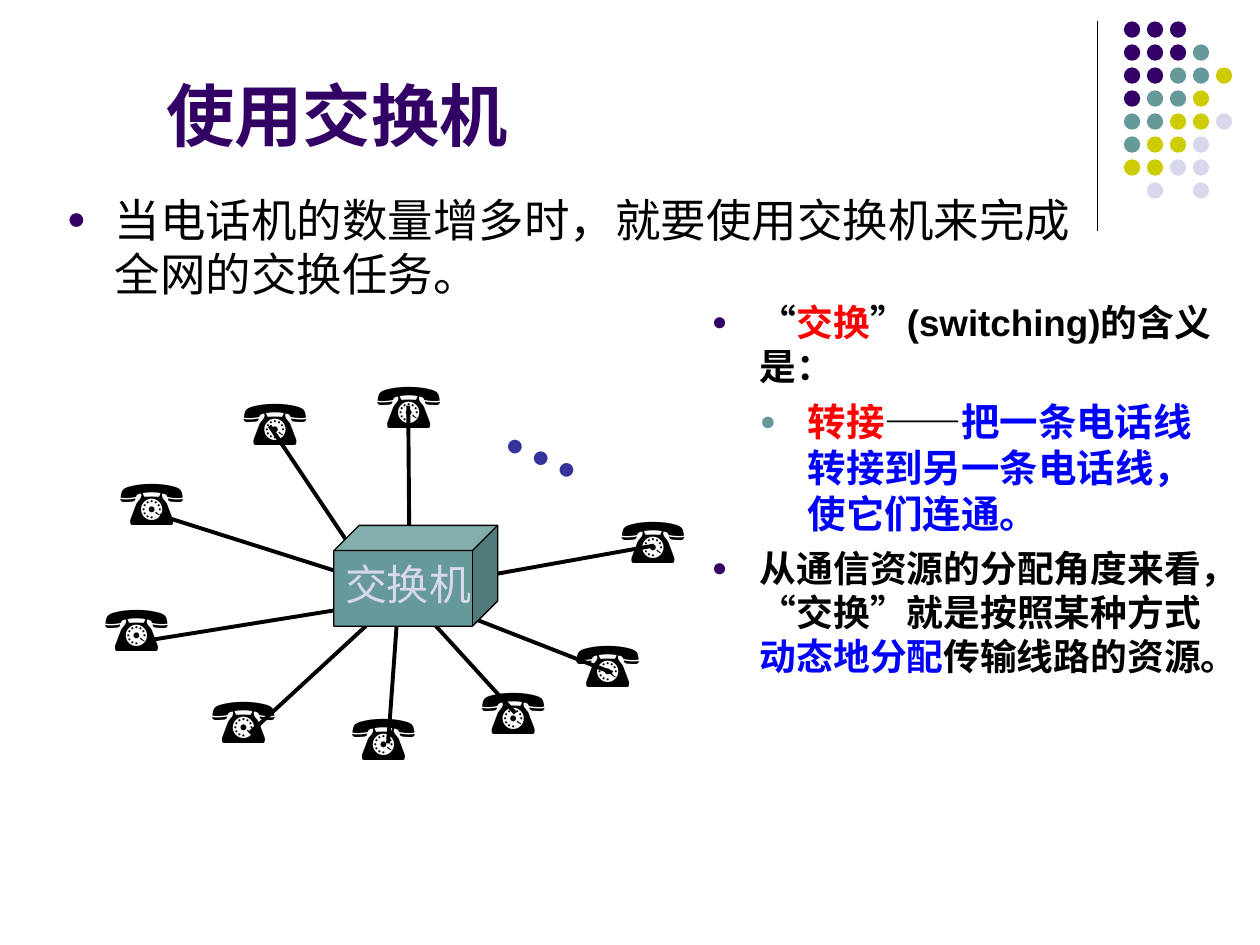
from lxml import etree
from pptx import Presentation
from pptx.dml.color import RGBColor
from pptx.enum.shapes import MSO_CONNECTOR, MSO_SHAPE
from pptx.enum.text import MSO_ANCHOR, MSO_AUTO_SIZE, PP_ALIGN
from pptx.oxml.ns import qn
from pptx.util import Inches, Pt

STRAIGHT = MSO_CONNECTOR.STRAIGHT
OVAL, CUBE = MSO_SHAPE.OVAL, MSO_SHAPE.CUBE
TOP, BOTTOM = MSO_ANCHOR.TOP, MSO_ANCHOR.BOTTOM
LEFT, NO_FIT = PP_ALIGN.LEFT, MSO_AUTO_SIZE.NONE

BLACK = RGBColor(0, 0, 0)
PURPLE = RGBColor(0x33, 0x00, 0x66)
TEAL = RGBColor(0x66, 0x99, 0x99)
OLIVE = RGBColor(0xCC, 0xCC, 0x00)
LAVENDER = RGBColor(0xD8, 0xD8, 0xEC)
INDIGO = RGBColor(0x33, 0x33, 0x99)
RED = RGBColor(0xFF, 0, 0)
BLUE = RGBColor(0, 0, 0xFF)

DOT_ROWS = ["PPP", "PPPT", "PPTTO", "PTTO", "TTOOL", "TOOL", "OOLL", " L L"]
DOT_COLORS = {"P": PURPLE, "T": TEAL, "O": OLIVE, "L": LAVENDER}
DOT_SIZE, DOT_PITCH = 0.13, 0.73 / 4
DOT_LEFT, DOT_TOP = 8.92, 0.17

PHONE_SPOTS = [(2.89, 2.85), (0.85, 3.62), (1.58, 5.35), (4.83, 3.92), (3.72, 5.28),
               (0.73, 4.62), (1.83, 2.99), (2.69, 5.49), (4.47, 4.91)]
WIRES = [(4.86, 5.34, 3.48, 4.8), (3.08, 5.9, 3.16, 4.8), (1.19, 5.08, 2.93, 4.8),
         (2.14, 3.38, 2.81, 4.38), (3.25, 4.49, 3.24, 3.22), (3.63, 4.61, 5.19, 4.33),
         (1.27, 4.09, 2.88, 4.6), (1.98, 5.82, 3, 4.88), (4.09, 5.66, 3.16, 4.64)]
DIVIDER = (8.71, 0.17, 8.71, 1.83)

# Level, text size, space before, bullet colour, bold, spans of text and colour
INTRO = [(0, 26, 6.5, PURPLE, False,
          [("当电话机的数量增多时，就要使用交换机来完成全网的交换任务。", BLACK)])]
MEANING = [
    (0, 21, 5.2, PURPLE, True,
     [("“", BLACK), ("交换", RED), ("”(switching)的含义是：", BLACK)]),
    (1, 22, 5.5, TEAL, True,
     [("转接", RED), ("——", BLACK),
      ("把一条电话线转接到另一条电话线，使它们连通。", BLUE)]),
    (0, 21, 5.2, PURPLE, True,
     [("从通信资源的分配角度来看，“交换”就是按照某种方式", BLACK),
      ("动态地分配", BLUE), ("传输线路的资源。", BLACK)]),
]


def add_span(para, text, color, size, font="Arial", bold=False):
    """Append a formatted run of text to a paragraph."""
    span = para.add_run()
    span.text = text
    for name, value in {"name": font, "size": Pt(size), "bold": bold}.items():
        setattr(span.font, name, value)
    span.font.color.rgb = color


def place(box, left, top, width, height):
    """Move and size a box, in inches."""
    spot = {"left": left, "top": top, "width": width, "height": height}
    for name, value in spot.items():
        setattr(box, name, Inches(value))


deck = Presentation()
deck.slide_width, deck.slide_height = Inches(10), Inches(7.5)
page = deck.slides.add_slide(deck.slide_layouts[3])
title, intro, meaning = page.placeholders

# Title
place(title, 1.22, 0.21, 8.52, 1.07)
title.text_frame.vertical_anchor = BOTTOM
title.text_frame.auto_size = NO_FIT
title_para = title.text_frame.paragraphs[0]
title_para.alignment = LEFT
add_span(title_para, "使用交换机", PURPLE, 39, bold=True)

# Bulleted lists
place(intro, 0.43, 1.47, 8.5, 4.5)
place(meaning, 5.55, 2.33, 4.17, 4.5)
for box, items in ((intro, INTRO), (meaning, MEANING)):
    frame = box.text_frame
    frame.auto_size = NO_FIT
    frame.vertical_anchor = TOP
    for number, (level, size, gap, bullet_color, bold, spans) in enumerate(items):
        para = frame.add_paragraph() if number else frame.paragraphs[0]
        para.level = level
        para.space_before = Pt(gap)
        props = para._p.get_or_add_pPr()
        props.set("marL", str(Inches(0.38 * (level + 1))))
        props.set("indent", str(Inches(-0.38)))
        bullet = etree.SubElement(props, qn("a:buClr"))
        etree.SubElement(bullet, qn("a:srgbClr"), val=str(bullet_color))
        etree.SubElement(props, qn("a:buSzPct"), val="70000")
        etree.SubElement(props, qn("a:buFont"), typeface="Arial")
        etree.SubElement(props, qn("a:buChar"), char="●")
        for text, color in spans:
            add_span(para, text, color, size, bold=bold)

# Corner dots
for row, marks in enumerate(DOT_ROWS):
    for column, mark in enumerate(marks):
        if mark in DOT_COLORS:
            dot = page.shapes.add_shape(
                OVAL, Inches(DOT_LEFT + column * DOT_PITCH),
                Inches(DOT_TOP + row * DOT_PITCH), Inches(DOT_SIZE), Inches(DOT_SIZE))
            dot.shadow.inherit = False
            dot.fill.solid()
            dot.fill.fore_color.rgb = DOT_COLORS[mark]
            dot.line.fill.background()

# Divider and telephone wires
for ends, weight in [(DIVIDER, 0.74)] + [(wire, 2.24) for wire in WIRES]:
    line = page.shapes.add_connector(STRAIGHT, *[Inches(end) for end in ends])
    line.line.color.rgb = BLACK
    line.line.width = Pt(weight)
    etree.SubElement(line._element.spPr, qn("a:effectLst"))

# Switch
switch = page.shapes.add_shape(CUBE, Inches(2.65), Inches(4.17), Inches(1.3), Inches(0.8))
switch.shadow.inherit = False
switch.fill.solid()
switch.fill.fore_color.rgb = TEAL
switch.line.color.rgb = BLACK
switch.line.width = Pt(0.74)

# Telephones, switch label and ellipsis
labels = [(left, top, 0.85, 0.7, 0, "☎", BLACK, 36, "Arial", False)
          for left, top in PHONE_SPOTS]
labels += [(2.64, 4.38, 1.2, 0.5, 0, "交换机", LAVENDER, 24, "Times New Roman", False),
           (3.95, 2.99, 0.86, 0.9, 24.3, "…", INDIGO, 48, "Times New Roman", True)]
for left, top, width, height, angle, text, color, size, font, bold in labels:
    label = page.shapes.add_textbox(0, 0, 0, 0)
    place(label, left, top, width, height)
    label.rotation = angle
    label.text_frame.word_wrap = False
    para = label.text_frame.paragraphs[0]
    para.alignment = LEFT
    add_span(para, text, color, size, font, bold)

deck.save("out.pptx")
